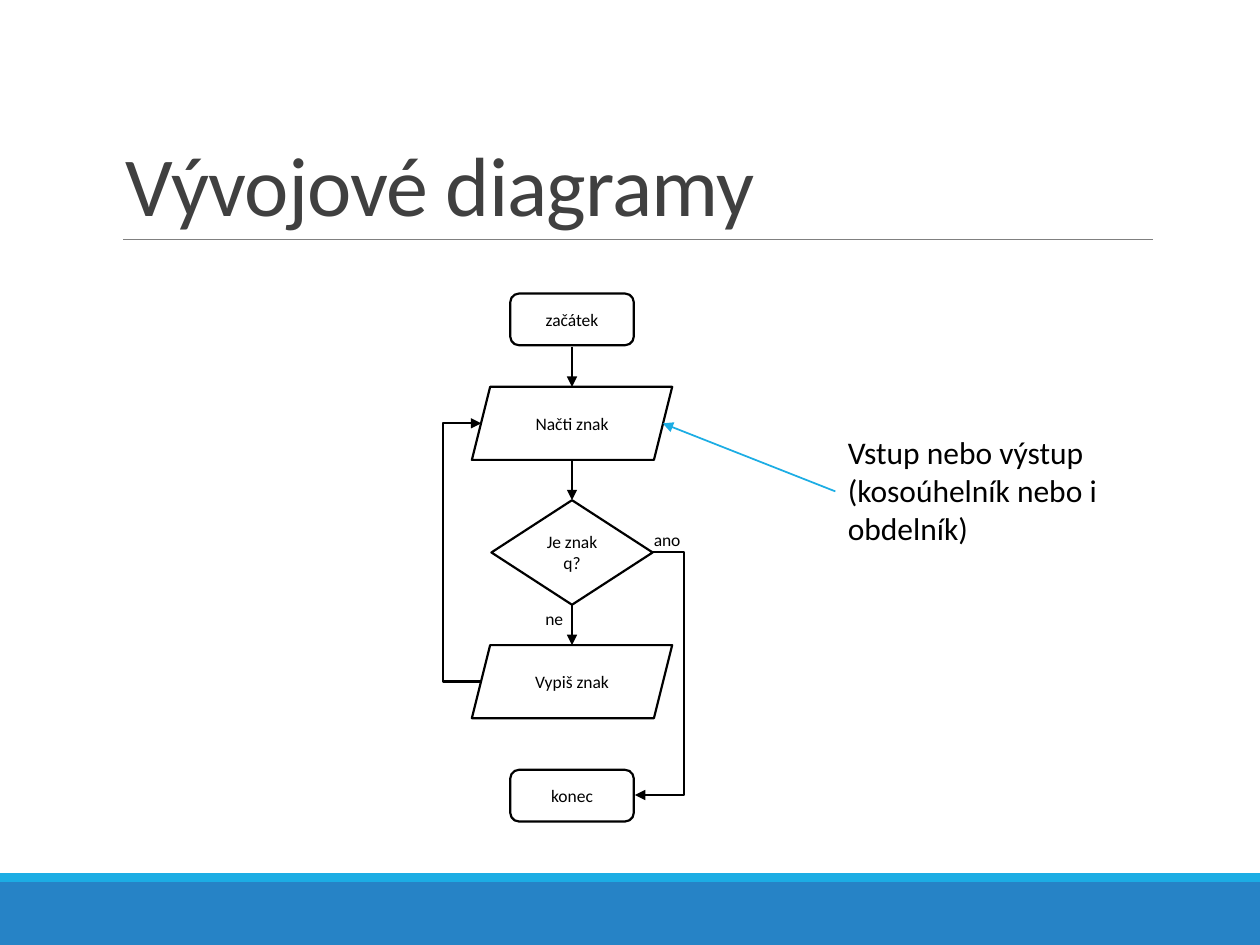
import pptx
import pptx.util
import pptx.dml.color
import pptx.enum.shapes
import pptx.enum.text
import pptx.oxml
import pptx.oxml.ns

Inches = pptx.util.Inches
Pt = pptx.util.Pt
RGBColor = pptx.dml.color.RGBColor
Shape = pptx.enum.shapes.MSO_SHAPE
Link = pptx.enum.shapes.MSO_CONNECTOR
Align = pptx.enum.text.PP_ALIGN
Anchor = pptx.enum.text.MSO_ANCHOR

BLACK = RGBColor(0x00, 0x00, 0x00)
WHITE = RGBColor(0xFF, 0xFF, 0xFF)
GRAY = RGBColor(0x80, 0x80, 0x80)
DARK = RGBColor(0x40, 0x40, 0x40)
BLUE = RGBColor(0x26, 0x83, 0xC6)
CYAN = RGBColor(0x1C, 0xAD, 0xE4)

AXIS = 4.54
BANDS = [(7, 0.5, BLUE), (6.93, 0.07, CYAN)]
NODES = [
    ("Je znak q?", Shape.DIAMOND, 3.97, 1.28, 0.83),
    ("Načti znak", Shape.PARALLELOGRAM, 3.07, 1.59, 0.58),
    ("Vypiš znak", Shape.PARALLELOGRAM, 5.12, 1.59, 0.58),
    ("začátek", Shape.ROUNDED_RECTANGLE, 2.33, 0.98, 0.41),
    ("konec", Shape.ROUNDED_RECTANGLE, 6.11, 0.98, 0.41),
]
DOWN_STEPS = [(2.75, 3.07), (3.65, 3.97), (4.8, 5.12)]
BENDS = [
    ((5.18, 4.38), (5.04, 6.31), 5.43),
    ((3.83, 5.41), (3.82, 3.36), 3.51),
]
LABELS = [
    ("ne", (4.23, 4.78, 0.67, 0.27), 10),
    ("ano", (5.09, 4.15, 0.48, 0.27), 10),
    ("Vstup nebo výstup (kosoúhelník nebo i obdelník)", (6.63, 3.39, 2.51, 1.01), 18),
]


def write(box, text, size=10, color=BLACK, align=Align.LEFT, anchor=Anchor.TOP,
          line_spacing=None, tracking=None):
    frame = box.text_frame
    frame.word_wrap = True
    frame.vertical_anchor = anchor
    para = frame.paragraphs[0]
    para.alignment = align
    para.line_spacing = line_spacing
    span = para.add_run()
    span.text = text
    span.font.name = "Calibri"
    span.font.size = Pt(size)
    span.font.color.rgb = color
    if tracking is not None:
        span.font._element.set("spc", str(int(tracking * 100)))


def add_text(page, text, place, **style):
    box = page.shapes.add_textbox(*map(Inches, place))
    write(box, text, **style)


def add_solid(page, kind, place, fill, line=None):
    shape = page.shapes.add_shape(kind, *map(Inches, place))
    shape.shadow.inherit = False
    shape.fill.solid()
    shape.fill.fore_color.rgb = fill
    if line is None:
        shape.line.fill.background()
    else:
        shape.line.color.rgb = line
        shape.line.width = Pt(1.25)
    return shape


def connect(page, start, end, color=BLACK, width=1.25, arrow=True, bend_x=None):
    kind = Link.STRAIGHT if bend_x is None else Link.ELBOW
    line = page.shapes.add_connector(kind, *map(Inches, start + end))
    line.line.color.rgb = color
    line.line.width = Pt(width)
    properties = line._element.spPr
    if arrow:
        head = pptx.oxml.parse_xml(
            f'<a:tailEnd {pptx.oxml.ns.nsdecls("a")} type="triangle"/>')
        line.line._get_or_add_ln().append(head)
    if bend_x is not None:
        ratio = (bend_x - start[0]) / (end[0] - start[0])
        geometry = properties.find(pptx.oxml.ns.qn("a:prstGeom"))
        for old in list(geometry):
            geometry.remove(old)
        geometry.append(pptx.oxml.parse_xml(
            f'<a:avLst {pptx.oxml.ns.nsdecls("a")}>'
            f'<a:gd name="adj1" fmla="val {round(ratio * 100000)}"/></a:avLst>'))
    properties.append(pptx.oxml.parse_xml(
        f'<a:effectLst {pptx.oxml.ns.nsdecls("a")}/>'))


def main():
    deck = pptx.Presentation()
    deck.slide_width = Inches(10)
    deck.slide_height = Inches(7.5)
    page = deck.slides.add_slide(deck.slide_layouts[6])

    for top, height, color in BANDS:
        add_solid(page, Shape.RECTANGLE, (0, top, 10, height), color)
    connect(page, (0.98, 1.9), (9.15, 1.9), color=GRAY, width=0.5, arrow=False)
    add_text(page, "Vývojové diagramy", (0.9, 0.31, 8.25, 1.59), size=48, color=DARK,
             anchor=Anchor.BOTTOM, line_spacing=0.85, tracking=-0.5)

    for top, bottom in DOWN_STEPS:
        connect(page, (AXIS, top), (AXIS, bottom))
    for start, end, bend_x in BENDS:
        connect(page, start, end, bend_x=bend_x)
    for text, kind, top, width, height in NODES:
        node = add_solid(page, kind, (AXIS - width / 2, top, width, height), WHITE, BLACK)
        write(node, text, align=Align.CENTER, anchor=Anchor.MIDDLE)
    for text, place, size in LABELS:
        add_text(page, text, place, size=size)
    connect(page, (6.63, 3.9), (5.26, 3.36), color=CYAN, width=1)

    deck.save("out.pptx")


if __name__ == "__main__":
    main()
